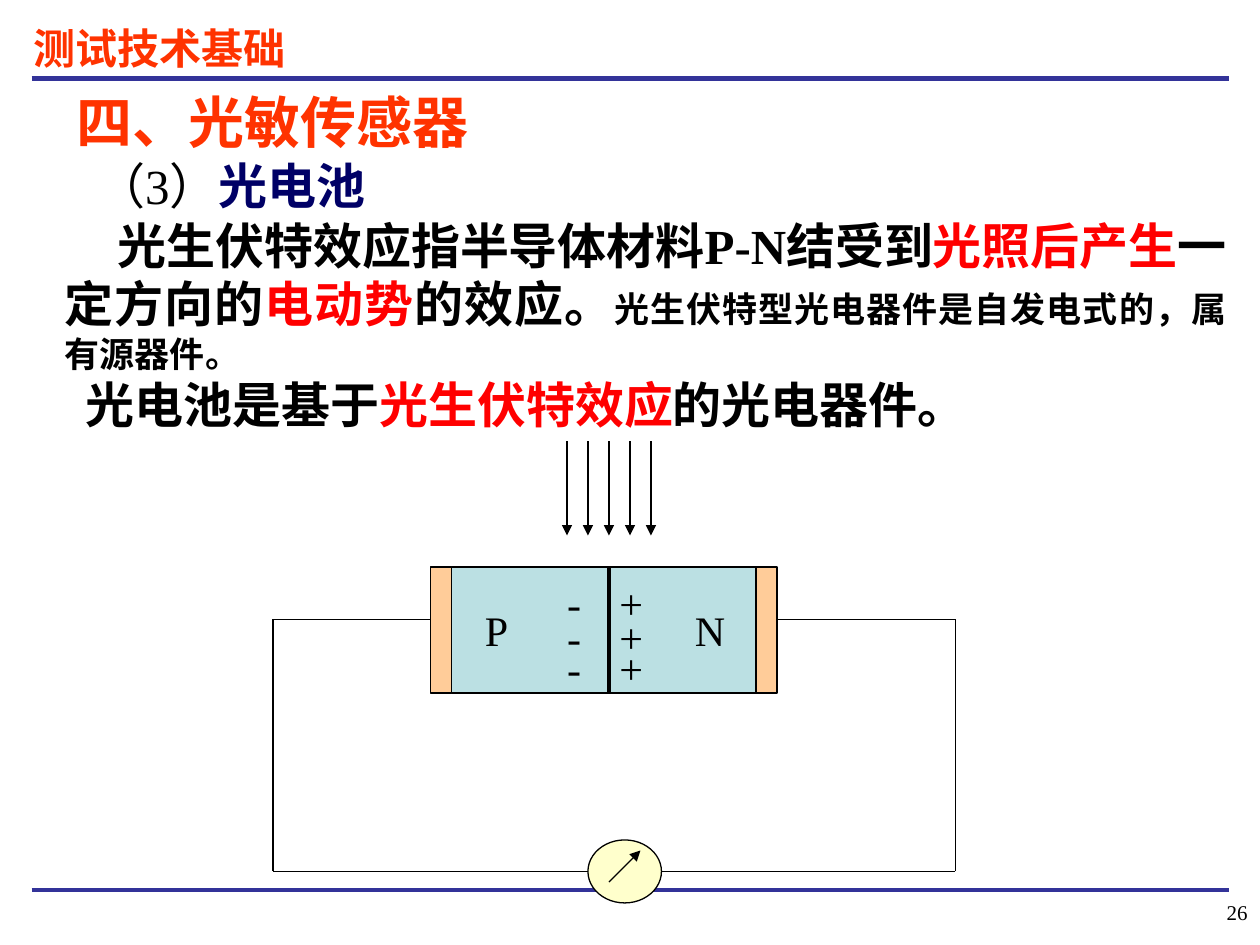
import pptx
import pptx.util
import pptx.dml.color
import pptx.enum.shapes
import pptx.enum.text
import pptx.oxml.ns
import lxml.etree

COLS, ROWS = 120, 90
HUES = {
    "rule": "333399", "head": "FF3300", "black": "000000", "navy": "000066",
    "red": "FF0000", "dial": "FFFFCC", "pole": "FFCC99", "cell": "BBE0E3",
}
ROMAN, HAN = "Times New Roman", "Noto Sans CJK SC"
ALIGN = pptx.enum.text.PP_ALIGN
KIND = pptx.enum.shapes.MSO_SHAPE

RULES = [(7.5, 3), (84.8, 2.25)]
COURSE = [("测试技术基础", 24, ROMAN, "head", True)]
PAGE = [("26", 12, ROMAN, "black", False)]
HEADING = [("四、光敏传感器", 32, ROMAN, "head", True)]
TOPIC = [("（3）", 28, ROMAN, "black", False), ("光电池", 28, HAN, "navy", True)]
EFFECT = [
    ("光生伏特效应指半导体材料", 28, HAN, "black", True),
    ("P-N结", 28, ROMAN, "black", True),
    ("受到", 28, HAN, "black", True),
    ("光照后产生", 28, HAN, "red", True),
    ("一定方向的", 28, HAN, "black", True),
    ("电动势", 28, HAN, "red", True),
    ("的效应。", 28, HAN, "black", True),
    ("光生伏特型光电器件是自发电式的，属有源器件。", 20, HAN, "black", True),
]
DEVICE = [
    ("光电池是基于", 28, HAN, "black", True),
    ("光生伏特效应", 28, HAN, "red", True),
    ("的光电器件。", 28, HAN, "black", True),
]
SHAPES = [
    (KIND.OVAL, (56, 80, 7, 6), "dial"),
    (KIND.RECTANGLE, (41, 54, 2, 12), "pole"),
    (KIND.RECTANGLE, (43, 54, 29, 12), "cell"),
    (KIND.RECTANGLE, (72, 54, 2, 12), "pole"),
]
WIRES = [
    [(41, 59), (26, 59), (26, 83), (56, 83)],
    [(74, 59), (91, 59), (91, 83), (63, 83)],
]
SIGNS = [("+", 59), ("-", 54)]
LEVELS = [55, 58.2, 61.2]
SIDES = [("P", 45), ("N", 65)]
RAYS = range(54, 63, 2)

deck = pptx.Presentation()
deck.slide_width = pptx.util.Inches(10)
deck.slide_height = pptx.util.Inches(7.5)
slide = deck.slides.add_slide(deck.slide_layouts[6])
parts = slide.shapes


def across(col):
    return round(deck.slide_width * col / COLS)


def down(row):
    return round(deck.slide_height * row / ROWS)


def place(box):
    left, top, wide, high = box
    return across(left), down(top), across(wide), down(high)


def hue(name):
    return pptx.dml.color.RGBColor.from_string(HUES[name])


def child(node, tag, **attrs):
    return lxml.etree.SubElement(node, pptx.oxml.ns.qn(tag), **attrs)


def draw(start, end, weight=0.75, color="black", arrow=False):
    line = parts.add_connector(
        pptx.enum.shapes.MSO_CONNECTOR.STRAIGHT,
        across(start[0]), down(start[1]), across(end[0]), down(end[1]))
    line.line.color.rgb = hue(color)
    line.line.width = pptx.util.Pt(weight)
    if arrow:
        child(line.line._get_or_add_ln(), "a:tailEnd", type="triangle")
    child(line._element.spPr, "a:effectLst")


def write(box, paras, align=ALIGN.LEFT, inset=True, middle=False):
    frame = parts.add_textbox(*place(box)).text_frame
    frame.word_wrap = True
    if middle:
        frame.vertical_anchor = pptx.enum.text.MSO_ANCHOR.MIDDLE
    if not inset:
        frame.margin_left = frame.margin_right = 0
        frame.margin_top = frame.margin_bottom = 0
    for nth, (indent, runs) in enumerate(paras):
        para = frame.add_paragraph() if nth else frame.paragraphs[0]
        para.alignment = align
        if indent:
            para._p.get_or_add_pPr().set("indent", str(across(indent)))
        for text, size, face, color, bold in runs:
            run = para.add_run()
            run.text = text
            run.font.size = pptx.util.Pt(size)
            run.font.bold = bold
            run.font.color.rgb = hue(color)
            run.font.name = face
            child(run._r.get_or_add_rPr(), "a:ea", typeface=HAN)


for row, weight in RULES:
    draw((3, row), (117, row), weight, "rule")
write((2, 1.6, 35, 6), [(0, COURSE)])
write((108, 83.9, 12, 6), [(0, PAGE)], ALIGN.RIGHT, middle=True)
write((8, 14.2, 73, 6.8), [(0, TOPIC)])
write((5, 19.9, 113, 22.1), [(5, EFFECT), (2, DEVICE)], ALIGN.JUSTIFY)
write((6.1, 7.7, 52, 7.7), [(0, HEADING)], ALIGN.JUSTIFY)

for kind, box, fill in SHAPES:
    shape = parts.add_shape(kind, *place(box))
    shape.shadow.inherit = False
    shape.fill.solid()
    shape.fill.fore_color.rgb = hue(fill)
    shape.line.color.rgb = hue("black")
    shape.line.width = pptx.util.Pt(0.75)
draw((58, 84), (61, 81), arrow=True)
draw((58, 54), (58, 66), 2)

for sign, col in SIGNS:
    for row in LEVELS:
        write((col, row, 2, 4.8), [(0, [(sign, 24, ROMAN, "black", False)])], inset=False)
for side, col in SIDES:
    write((col, 57, 6, 6), [(0, [(side, 24, ROMAN, "black", False)])])
for col in RAYS:
    draw((col, 42), (col, 51), arrow=True)
for wire in WIRES:
    for start, end in zip(wire, wire[1:]):
        draw(start, end)

deck.save("out.pptx")
